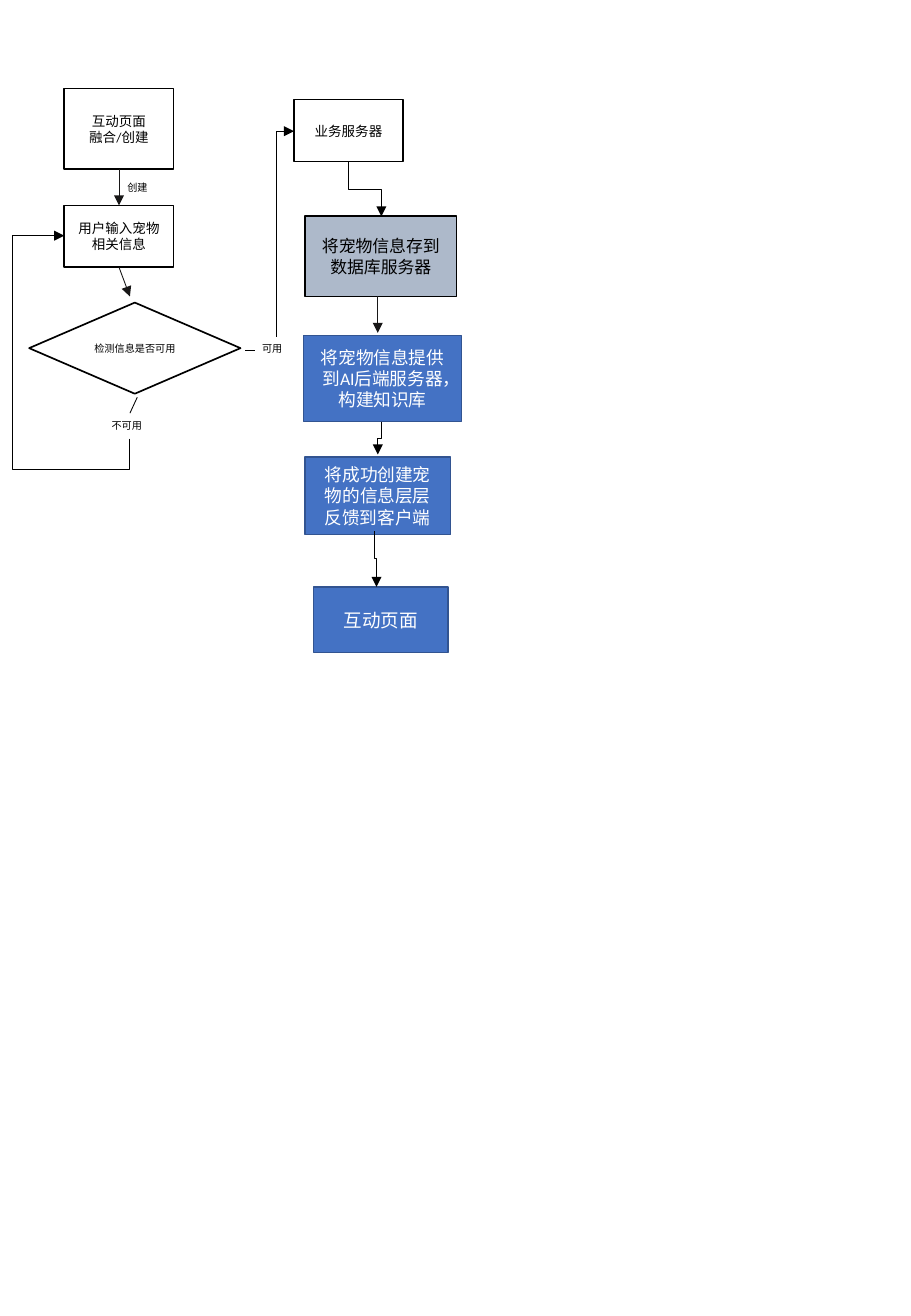
from lxml import etree
from pptx import Presentation
from pptx.dml.color import RGBColor
from pptx.enum.shapes import MSO_CONNECTOR, MSO_SHAPE
from pptx.enum.text import MSO_ANCHOR, PP_ALIGN
from pptx.oxml.ns import qn
from pptx.util import Inches, Pt

RECT = MSO_SHAPE.RECTANGLE
TEST = MSO_SHAPE.FLOWCHART_DECISION
STEP = MSO_SHAPE.FLOWCHART_PROCESS
STRAIGHT, ELBOW = MSO_CONNECTOR.STRAIGHT, MSO_CONNECTOR.ELBOW
LEFT, CENTER = PP_ALIGN.LEFT, PP_ALIGN.CENTER
MIDDLE = MSO_ANCHOR.MIDDLE

FONT = "Calibri"
COLORS = {"black": "000000", "ink": "181717", "white": "FFFFFF",
          "gray": "ADB9CA", "blue": "4472C4", "navy": "325491"}

# look: fill, line, text
LOOKS = {"plain": (None, "black", "black"),
         "store": ("gray", "black", "black"),
         "solid": ("blue", "navy", "white")}

# shape, look, (left, top, width, height), text size, paragraphs
BOXES = [
    (RECT, "plain", (0.53, 0.73, 0.9, 0.66), 8, ["互动页面", "融合/创建"]),
    (RECT, "plain", (0.53, 1.69, 0.9, 0.51), 8, ["用户输入宠物相关信息"]),
    (TEST, "plain", (0.24, 2.49, 1.74, 0.75), 6, ["检测信息是否可用"]),
    (RECT, "plain", (2.42, 0.82, 0.9, 0.51), 8, ["业务服务器"]),
    (RECT, "store", (2.51, 1.78, 1.25, 0.66), 10, ["将宠物信息存到数据库服务器"]),
    (RECT, "solid", (2.5, 2.76, 1.3, 0.71), 10.5,
     ["将宠物信息提供到AI后端服务器，构建知识库"]),
    (RECT, "solid", (2.51, 3.76, 1.2, 0.64), 10.5,
     ["将成功创建宠物的信息层层反馈到客户端"]),
    (STEP, "solid", (2.58, 4.83, 1.11, 0.54), 11, ["互动页面"]),
]

# left, top, width, text
LABELS = [(0.95, 1.44, 0.53, "创建"),
          (2.06, 2.77, 0.53, "可用"),
          (0.82, 3.4, 0.53, "不可用")]

# from, to, color, arrowhead
LINES = [
    ((0.98, 1.39), (0.98, 1.69), "ink", True),
    ((0.98, 2.2), (1.07, 2.44), "ink", True),
    ((2.02, 2.88), (2.1, 2.88), "black", False),
    ((1.13, 3.27), (1.07, 3.4), "black", False),
    ((3.11, 2.44), (3.11, 2.74), "ink", True),
]

# from, to, preset, adjustments as shares of the height and width
BENDS = [
    ((2.28, 2.77), (2.42, 1.08), "bentConnector2", []),
    ((2.87, 1.33), (3.14, 1.78), "bentConnector3", [0.5]),
    ((3.14, 3.47), (3.11, 3.74), "bentConnector3", [0.5]),
    ((1.07, 3.61), (0.53, 1.94), "bentConnector4", [-0.15, 1.79]),
    ((3.08, 4.37), (3.1, 4.83), "bentConnector3", [0.5]),
]


def color(name):
    return RGBColor.from_string(COLORS[name])


def write(frame, texts, size, ink, align):
    frame.word_wrap = True
    for i, text in enumerate(texts):
        para = frame.add_paragraph() if i else frame.paragraphs[0]
        para.alignment = align
        run = para.add_run()
        run.text = text
        run.font.name = FONT
        run.font.size = Pt(size)
        run.font.color.rgb = color(ink)


def add_box(shapes, kind, look, place, size, texts):
    fill, edge, ink = LOOKS[look]
    box = shapes.add_shape(kind, *map(Inches, place))
    box.shadow.inherit = False
    if fill:
        box.fill.solid()
        box.fill.fore_color.rgb = color(fill)
    else:
        box.fill.background()
    box.line.color.rgb = color(edge)
    box.line.width = Pt(1)
    box.text_frame.vertical_anchor = MIDDLE
    write(box.text_frame, texts, size, ink, CENTER)


def add_line(shapes, kind, start, end, ink, head):
    line = shapes.add_connector(kind, *map(Inches, start + end))
    line.line.color.rgb = color(ink)
    line.line.width = Pt(0.5)
    if head:
        tail = etree.SubElement(line.line._get_or_add_ln(), qn("a:tailEnd"))
        tail.set("type", "triangle")
    etree.SubElement(line._element.spPr, qn("a:effectLst"))
    return line


def add_bend(shapes, start, end, preset, shares):
    """Draw an elbow that leaves vertically: a horizontal one turned by 90 degrees."""
    (x1, y1), (x2, y2) = start, end
    midx, midy = (x1 + x2) / 2, (y1 + y2) / 2
    halfx, halfy = (x2 - x1) / 2, (y2 - y1) / 2
    line = add_line(shapes, ELBOW, (midx - halfy, midy + halfx),
                    (midx + halfy, midy - halfx), "black", True)
    props = line._element.spPr
    props.find(qn("a:xfrm")).set("rot", str(90 * 60000))
    geom = props.find(qn("a:prstGeom"))
    geom.set("prst", preset)
    guides = geom.find(qn("a:avLst"))
    for i, share in enumerate(shares, 1):
        guide = etree.SubElement(guides, qn("a:gd"))
        guide.set("name", f"adj{i}")
        guide.set("fmla", f"val {round(share * 100000)}")


def main():
    deck = Presentation()
    deck.slide_width, deck.slide_height = Inches(7.5), Inches(10.83)
    shapes = deck.slides.add_slide(deck.slide_layouts[6]).shapes
    for box in BOXES:
        add_box(shapes, *box)
    for left, top, width, text in LABELS:
        label = shapes.add_textbox(*map(Inches, (left, top, width, 0.2)))
        write(label.text_frame, [text], 6, "black", LEFT)
    for line in LINES:
        add_line(shapes, STRAIGHT, *line)
    for bend in BENDS:
        add_bend(shapes, *bend)
    deck.save("out.pptx")


if __name__ == "__main__":
    main()
